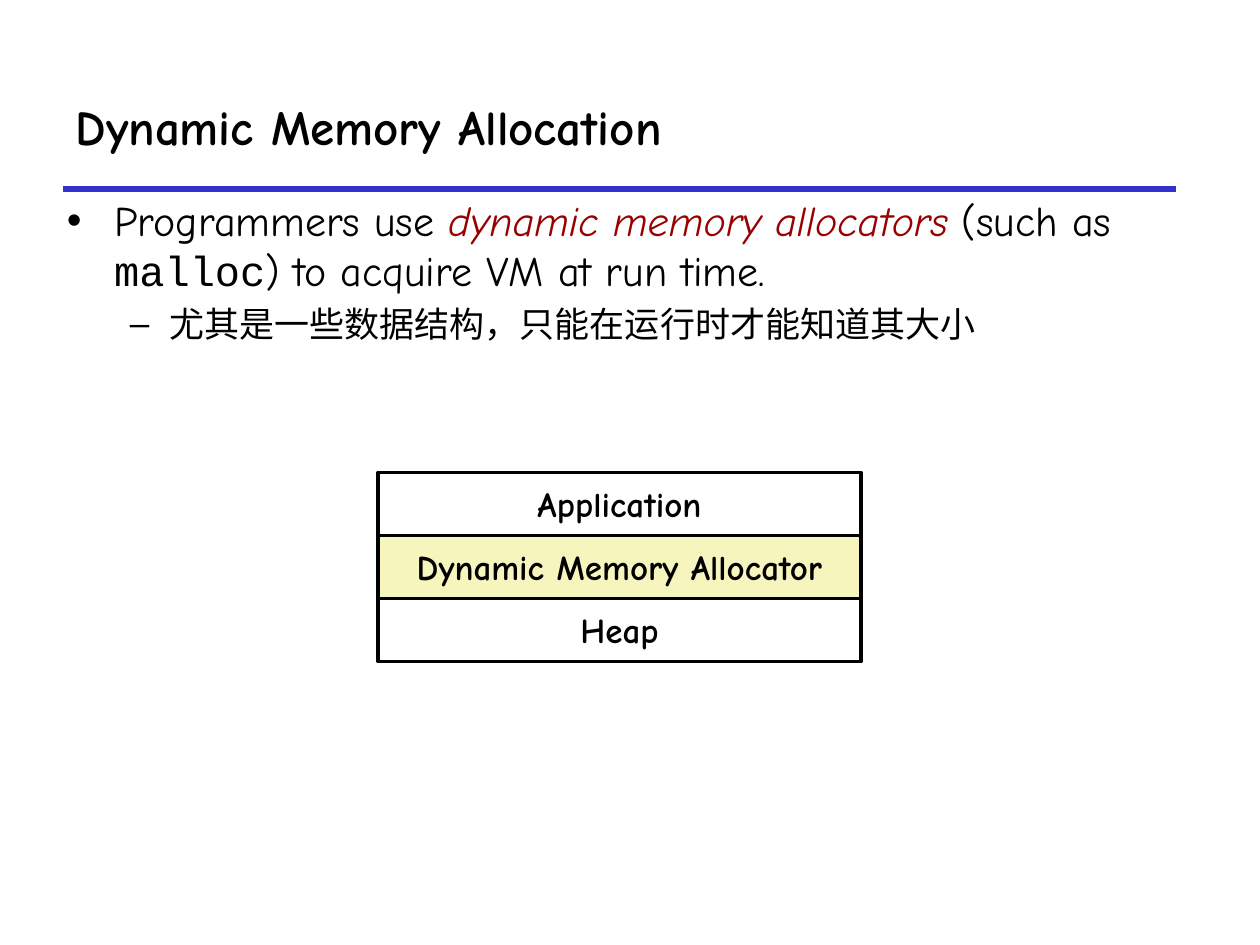
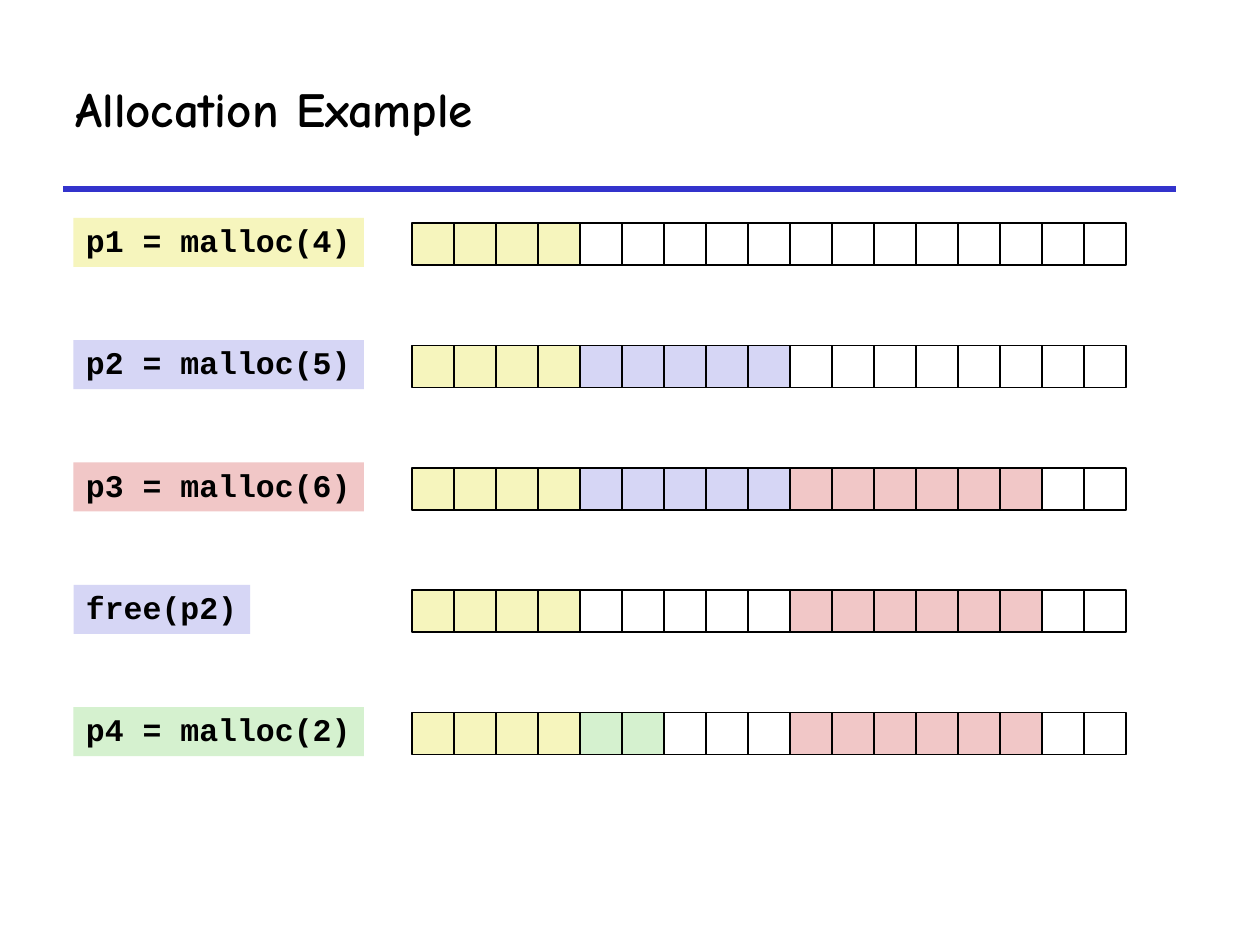
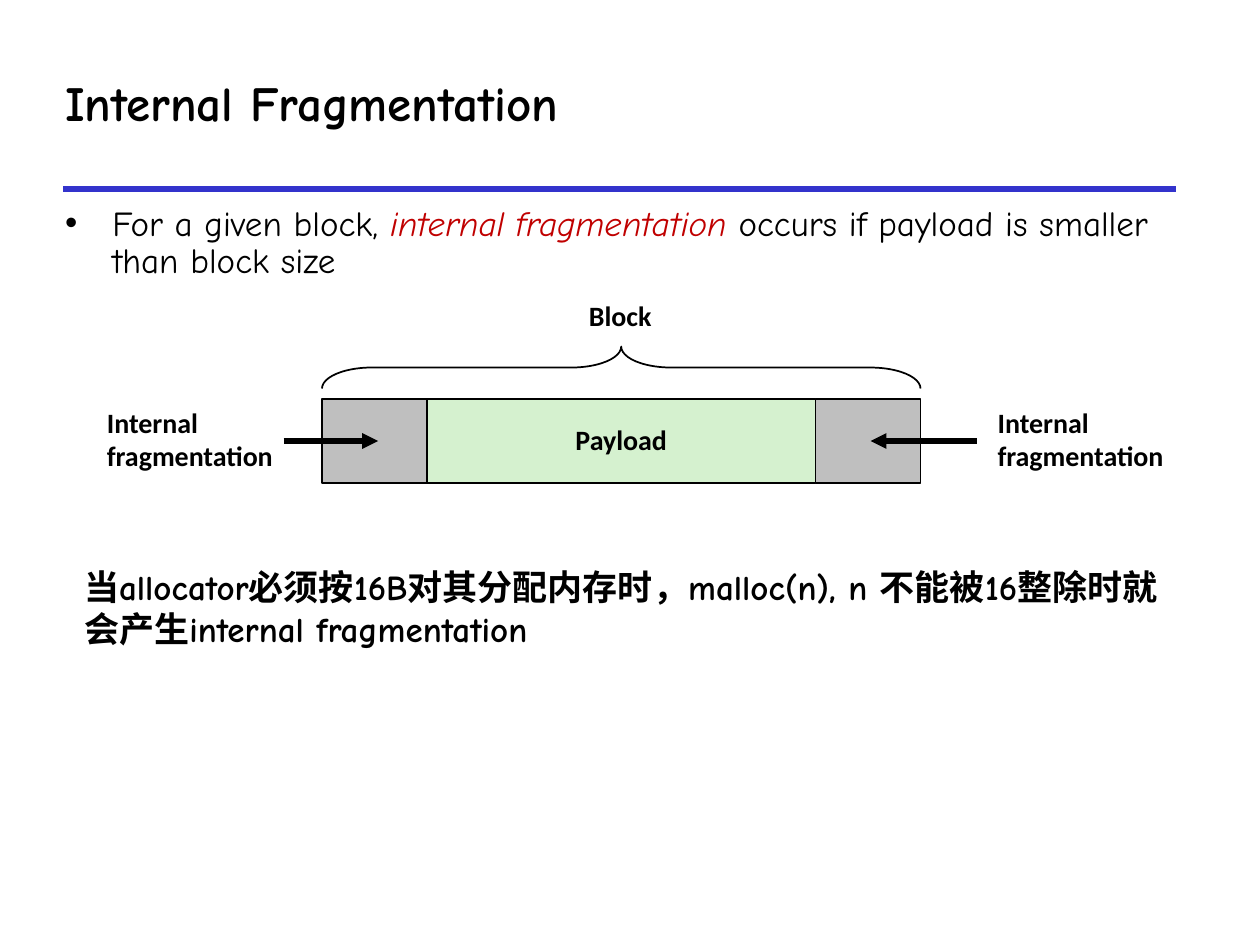
from lxml.etree import SubElement
from pptx import Presentation
from pptx.dml.color import RGBColor
from pptx.enum.shapes import MSO_CONNECTOR, MSO_SHAPE
from pptx.enum.text import MSO_ANCHOR, MSO_AUTO_SIZE, PP_ALIGN
from pptx.oxml.ns import qn
from pptx.util import Pt

BLACK = RGBColor(0x00, 0x00, 0x00)
WHITE = RGBColor(0xFF, 0xFF, 0xFF)
RULE_BLUE = RGBColor(0x33, 0x33, 0xCC)
TERM_RED = RGBColor(0x99, 0x00, 0x00)
BRIGHT_RED = RGBColor(0xC0, 0x00, 0x00)
YELLOW = RGBColor(0xF6, 0xF5, 0xBD)
LAVENDER = RGBColor(0xD6, 0xD6, 0xF5)
PINK = RGBColor(0xF1, 0xC7, 0xC7)
GREEN = RGBColor(0xD5, 0xF1, 0xCF)
GREY = RGBColor(0xBF, 0xBF, 0xBF)

HAND = "Comic Neue"
CODE = "Courier New"
SANS = "Calibri"

INDENTS = [(27, -27), (58.5, -22.5)]
CELL = 24
HEAP_WORDS = 17
HEAP_LEFT = 235.5
ROW_TOP = 127.5
ROW_PITCH = 69.9


def style_font(font, name, size, bold=False, color=BLACK, italic=False):
    font.name = name
    font.size = Pt(size)
    font.bold = bold
    font.italic = italic
    font.color.rgb = color


def place(shape, left, top, width, height):
    shape.left, shape.top = Pt(left), Pt(top)
    shape.width, shape.height = Pt(width), Pt(height)


def write(frame, text, font, size, align=PP_ALIGN.LEFT, anchor=MSO_ANCHOR.TOP,
          spacing=None, wrap=False):
    frame.text = text
    frame.word_wrap = wrap
    frame.auto_size = MSO_AUTO_SIZE.NONE
    frame.vertical_anchor = anchor
    for paragraph in frame.paragraphs:
        paragraph.alignment = align
        paragraph.line_spacing = spacing
        for run in paragraph.runs:
            style_font(run.font, font, size, bold=True)


def add_line(slide, start, end, color, arrow=False):
    line = slide.shapes.add_connector(
        MSO_CONNECTOR.STRAIGHT, *(Pt(value) for value in (*start, *end)))
    line.line.color.rgb = color
    line.line.width = Pt(3)
    properties = line.element.spPr
    if arrow:
        SubElement(properties.find(qn("a:ln")), qn("a:tailEnd"), type="triangle")
    SubElement(properties, qn("a:effectLst"))
    return line


def add_box(shapes, left, top, width, height, fill=None, border=None,
            preset=MSO_SHAPE.RECTANGLE):
    box = shapes.add_shape(preset, Pt(left), Pt(top), Pt(width), Pt(height))
    box.shadow.inherit = False
    if fill is None:
        box.fill.background()
    else:
        box.fill.solid()
        box.fill.fore_color.rgb = fill
    if border is None:
        box.line.fill.background()
    else:
        box.line.color.rgb = BLACK
        box.line.width = Pt(border)
    return box


def add_label(slide, text, left, top, width, height, font=SANS, size=16,
              spacing=0.98, wrap=False):
    label = slide.shapes.add_textbox(Pt(left), Pt(top), Pt(width), Pt(height))
    write(label.text_frame, text, font, size, spacing=spacing, wrap=wrap)


def add_titled_slide(deck, layout, title, *bounds):
    slide = deck.slides.add_slide(deck.slide_layouts.get_by_name(layout))
    place(slide.shapes.title, *bounds)
    write(slide.shapes.title.text_frame, title, HAND, 28,
          anchor=MSO_ANCHOR.MIDDLE, wrap=True)
    return slide


def fill_bullets(slide, bounds, bullets, spacing=None):
    body = slide.placeholders[1]
    place(body, *bounds)
    frame = body.text_frame
    frame.auto_size = MSO_AUTO_SIZE.NONE
    for index, (level, size, segments) in enumerate(bullets):
        paragraph = frame.add_paragraph() if index else frame.paragraphs[0]
        paragraph.level = level
        paragraph.line_spacing = spacing
        paragraph.space_before = Pt(size * 0.2 if index else 0)
        margin, indent = INDENTS[level]
        properties = paragraph._p.get_or_add_pPr()
        properties.set("marL", str(Pt(margin)))
        properties.set("indent", str(Pt(indent)))
        for text, font, color in segments:
            run = paragraph.add_run()
            run.text = text
            style_font(run.font, font, size, color=color, italic=color != BLACK)


def add_heap_row(slide, index, call, label_width, label_fill, blocks):
    top = ROW_TOP + index * ROW_PITCH
    words = [fill for count, fill in blocks for _ in range(count)]
    words += [None] * (HEAP_WORDS - len(words))
    heap = slide.shapes.add_group_shape()
    for column, fill in enumerate(words):
        add_box(heap.shapes, HEAP_LEFT + column * CELL, top, CELL, CELL, fill, 1)
    label = add_box(slide.shapes, 42, top - 3, label_width, 28, label_fill)
    write(label.text_frame, call, CODE, 18, spacing=0.94)


def build_allocator(deck):
    slide = add_titled_slide(deck, "Title and Content", "Dynamic Memory Allocation",
                             36, 36, 636, 72)
    fill_bullets(slide, (31, 107.5, 649.5, 391.5), [
        (0, 24, [("Programmers use ", HAND, BLACK),
                 ("dynamic memory allocators ", HAND, TERM_RED),
                 ("(such as ", HAND, BLACK),
                 ("malloc", CODE, BLACK),
                 (") to acquire VM at run time.", HAND, BLACK)]),
        (1, 20, [("尤其是一些数据结构，只能在运行时才能知道其大小", HAND, BLACK)]),
    ])
    layers = [("Application", WHITE), ("Dynamic Memory Allocator", YELLOW),
              ("Heap", WHITE)]
    for index, (name, fill) in enumerate(layers):
        layer = add_box(slide.shapes, 216, 270 + index * 36, 276, 36, fill, 2)
        write(layer.text_frame, name, HAND, 20, PP_ALIGN.CENTER, MSO_ANCHOR.MIDDLE)
    return slide


def build_example(deck):
    slide = add_titled_slide(deck, "Title Only", "Allocation Example",
                             36, 39, 509, 45)
    p1, p2, p3, p4 = (4, YELLOW), (5, LAVENDER), (6, PINK), (2, GREEN)
    freed, remainder = (5, None), (3, None)
    steps = [
        ("p1 = malloc(4)", 166, YELLOW, [p1]),
        ("p2 = malloc(5)", 166, LAVENDER, [p1, p2]),
        ("p3 = malloc(6)", 166, PINK, [p1, p2, p3]),
        ("free(p2)", 101, LAVENDER, [p1, freed, p3]),
        ("p4 = malloc(2)", 166, GREEN, [p1, p4, remainder, p3]),
    ]
    for index, step in enumerate(steps):
        add_heap_row(slide, index, *step)


def build_fragmentation(deck):
    slide = add_titled_slide(deck, "Title and Content", "Internal Fragmentation",
                             30, 36, 530, 45)
    fill_bullets(slide, (30, 114.5, 666, 425.5), [
        (0, 20, [("For a given block, ", HAND, BLACK),
                 ("internal fragmentation ", HAND, BRIGHT_RED),
                 ("occurs if payload is smaller than block size", HAND, BLACK)]),
    ], spacing=0.88)

    payload = add_box(slide.shapes, 244, 228, 222, 48, GREEN, 1)
    write(payload.text_frame, "Payload", SANS, 16, PP_ALIGN.CENTER,
          MSO_ANCHOR.MIDDLE, 0.98)
    for padding_left in (466, 184):
        add_box(slide.shapes, padding_left, 228, 60, 48, GREY, 1)

    brace = add_box(slide.shapes, 343, 39, 24, 342, border=1,
                    preset=MSO_SHAPE.RIGHT_BRACE)
    brace.adjustments[0] = 1.19
    brace.rotation = 270
    add_label(slide, "Block", 329.5, 168, 50, 27)

    for left, start, end in ((563, 558, 497.5), (54, 162, 216)):
        add_label(slide, "Internal\nfragmentation", left, 229, 110, 45)
        add_line(slide, (start, 252), (end, 252), BLACK, arrow=True)

    add_label(slide, "当allocator必须按16B对其分配内存时，malloc(n), n 不能被16整除时就会产生"
              "internal fragmentation", 41, 319.5, 632, 55, HAND, 20, None, True)


def main():
    deck = Presentation()
    deck.slide_width, deck.slide_height = Pt(720), Pt(540)
    first = build_allocator(deck)
    title_rule = add_line(first, (36, 108), (672, 108), RULE_BLUE)
    deck.slide_master.shapes.element.append(title_rule.element)
    build_example(deck)
    build_fragmentation(deck)
    deck.save("out.pptx")


if __name__ == "__main__":
    main()
